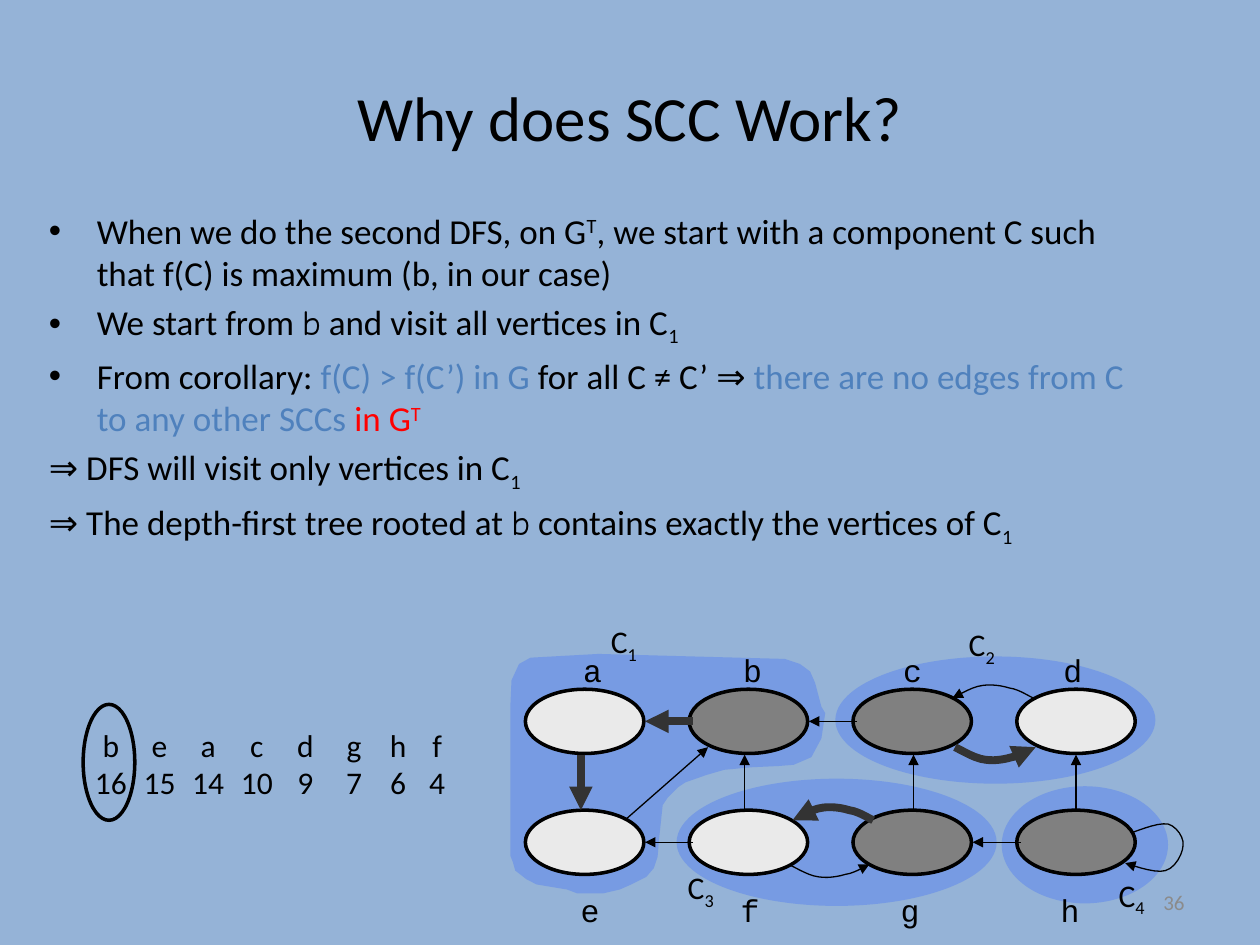
from dataclasses import dataclass

from lxml import etree
from pptx import Presentation
from pptx.dml.color import RGBColor
from pptx.enum.shapes import MSO_CONNECTOR, MSO_SHAPE
from pptx.enum.text import MSO_ANCHOR, PP_ALIGN
from pptx.oxml.ns import qn
from pptx.util import Inches, Pt

ELLIPSE, STRAIGHT = MSO_SHAPE.OVAL, MSO_CONNECTOR.STRAIGHT
LEFT, CENTER, RIGHT = PP_ALIGN.LEFT, PP_ALIGN.CENTER, PP_ALIGN.RIGHT
MIDDLE = MSO_ANCHOR.MIDDLE


@dataclass(frozen=True)
class Theme:
    background: str = "95B3D7"
    ink: str = "000000"
    accent: str = "4F81BD"
    alert: str = "FF0000"
    muted: str = "8B8B8B"
    component: str = "3366FF"
    light: str = "EAEAEA"
    dark: str = "808080"
    tree_edge: str = "333333"
    title: int = 36
    body: int = 20
    label: int = 18
    number: int = 12
    outline: float = 2
    thin: float = 0.75
    thick: float = 4.5
    font: str = "Calibri"
    vertex_font: str = "Comic Neue"
    node_font: str = "Courier New"


THEME = Theme()
SUB, SUPER = {"baseline": -25}, {"baseline": 30}
VERTEX = {"font": THEME.vertex_font}
ACCENT, ALERT = {"color": THEME.accent}, {"color": THEME.alert}

# Each line: whether it has a bullet, then its runs
ARGUMENT = [
    (True, [("When we do the second DFS, on G", {}), ("T", SUPER),
            (", we start with a component C such that f(C) is maximum (b, in our case)", {})]),
    (True, [("We start from ", {}), ("b", VERTEX),
            (" and visit all vertices in C", {}), ("1", SUB)]),
    (True, [("From corollary: ", {}), ("f(C) > f(C’) in G ", ACCENT),
            ("for all C ≠ C’ ⇒ ", {}),
            ("there are no edges from C to any other SCCs ", ACCENT),
            ("in G", ALERT), ("T", ALERT | SUPER)]),
    (False, [("⇒ DFS will visit only vertices in C", {}), ("1", SUB)]),
    (False, [("⇒ The depth-first tree rooted at ", {}), ("b", VERTEX),
             (" contains exactly the vertices of C", {}), ("1", SUB)]),
]

C1_OUTLINE = [
    (4.21, 5.22), (4.75, 5.19), (6.23, 5.23), (6.35, 5.27), (6.43, 5.33),
    (6.47, 5.42), (6.52, 5.61), (6.55, 5.66), (6.52, 5.86), (6.44, 6.01),
    (6.3, 6.07), (6.18, 6.08), (5.96, 6.09), (5.75, 6.11), (5.61, 6.15),
    (5.44, 6.21), (5.38, 6.25), (5.3, 6.33), (5.26, 6.39), (5.23, 6.67),
    (5.22, 6.8), (5.19, 6.89), (5.13, 6.96), (5.01, 7.02), (4.92, 7.06),
    (4.79, 7.09), (4.58, 7.09), (4.5, 7.06), (4.26, 7.02), (4.18, 6.98),
    (4.09, 6.91), (4.07, 6.84), (4.05, 6.79), (4.05, 5.62), (4.06, 5.4),
    (4.12, 5.27),
]
# Cubic curves: a start, then two handles and an end per segment
ARC = [(0, 0), (0.08, 0.04), (0.16, 0.09), (0.24, 0.1), (0.31, 0.11),
       (0.38, 0.1), (0.45, 0.08), (0.52, 0.07), (0.58, 0.03), (0.64, 0)]
SELF_LOOP = [(8.98, 6.61), (9.09, 6.57), (9.2, 6.53), (9.27, 6.54),
             (9.34, 6.56), (9.4, 6.65), (9.39, 6.71), (9.39, 6.77),
             (9.33, 6.89), (9.25, 6.91), (9.18, 6.93), (9.05, 6.89), (8.93, 6.85)]

NODE_W, NODE_H = 0.94, 0.51
NODE_X = [4.17 + 1.3 * column for column in range(4)]
NODE_Y = (5.47, 6.43)


def write_runs(paragraph, runs, size, font=THEME.font, color=THEME.ink):
    for text, changes in runs:
        style = {"font": font, "color": color} | changes
        run = paragraph.add_run()
        run.text = text
        for name, value in {"name": style["font"], "size": Pt(size)}.items():
            setattr(run.font, name, value)
        run.font.color.rgb = RGBColor.from_string(style["color"])
        if "baseline" in style:
            run.font._element.set("baseline", str(style["baseline"] * 1000))


def add_text(slide, box, lines, size, align=LEFT, wrap=True, **style):
    frame = slide.shapes.add_textbox(*map(Inches, box)).text_frame
    frame.word_wrap = wrap
    for index, runs in enumerate(lines):
        paragraph = frame.add_paragraph() if index else frame.paragraphs[0]
        paragraph.alignment = align
        write_runs(paragraph, runs, size, **style)
    return frame


def paint(shape, fill=None, alpha=None, line=None, width=THEME.outline):
    shape.shadow.inherit = False
    if fill:
        shape.fill.solid()
        shape.fill.fore_color.rgb = RGBColor.from_string(fill)
    else:
        shape.fill.background()
    if alpha:
        color = shape.fill._xPr.find(".//" + qn("a:srgbClr"))
        etree.SubElement(color, qn("a:alpha"), val=str(alpha * 1000))
    if line:
        shape.line.color.rgb = RGBColor.from_string(line)
        shape.line.width = Pt(width)
    else:
        shape.line.fill.background()


def add_ellipse(slide, box, **look):
    paint(slide.shapes.add_shape(ELLIPSE, *map(Inches, box)), **look)


def add_outline(slide, points, closed):
    # The builder rounds to whole units, so it is given EMU
    start, *others = [(Inches(x), Inches(y)) for x, y in points]
    builder = slide.shapes.build_freeform(*start)
    builder.add_line_segments(others, close=closed)
    return builder.convert_to_shape()


def add_tip(shape):
    etree.SubElement(shape.line._get_or_add_ln(), qn("a:tailEnd"), type="triangle")


def edge_look(tree):
    return (THEME.tree_edge, THEME.thick) if tree else (THEME.ink, THEME.thin)


def add_edge(slide, start, end, tree=False):
    edge = slide.shapes.add_connector(STRAIGHT, *map(Inches, (*start, *end)))
    color, width = edge_look(tree)
    edge.line.color.rgb = RGBColor.from_string(color)
    edge.line.width = Pt(width)
    add_tip(edge)
    etree.SubElement(edge._element.spPr, qn("a:effectLst"))


def add_curve(slide, knots, tree=False, steps=6):
    points = [knots[0]]
    for first in range(0, len(knots) - 1, 3):
        segment = knots[first:first + 4]
        for t in (step / steps for step in range(1, steps + 1)):
            weights = ((1 - t) ** 3, 3 * t * (1 - t) ** 2, 3 * t * t * (1 - t), t ** 3)
            points.append(tuple(sum(w * knot[axis] for w, knot in zip(weights, segment))
                                for axis in (0, 1)))
    curve = add_outline(slide, points, closed=False)
    color, width = edge_look(tree)
    paint(curve, line=color, width=width)
    add_tip(curve)


def add_argument(slide):
    frame = add_text(slide, (0.29, 1.61, 9, 3.9), [runs for _, runs in ARGUMENT], THEME.body)
    for paragraph, (bulleted, _) in zip(frame.paragraphs, ARGUMENT):
        paragraph.space_before = Pt(4)
        properties = paragraph._p.get_or_add_pPr()
        for name, value in {"marL": Inches(0.38), "indent": Inches(-0.38)}.items():
            properties.set(name, str(value))
        if bulleted:
            etree.SubElement(properties, qn("a:buFont"), typeface="Arial")
            etree.SubElement(properties, qn("a:buChar"), char="•")


def add_components(slide):
    tint = {"fill": THEME.component, "alpha": 30}
    paint(add_outline(slide, C1_OUTLINE, closed=True), **tint)
    for box in ((7.95, 6.24, 1.32, 0.93), (6.63, 5.21, 2.54, 1.01), (5.37, 6.18, 2.54, 1.01)):
        add_ellipse(slide, box, **tint)
    corners = ((4.75, 4.89), (7.59, 4.91), (5.36, 6.84), (8.78, 6.9))
    for number, corner in enumerate(corners, 1):
        add_text(slide, (*corner, 0.47, 0.4), [[("C", {}), (str(number), SUB)]],
                 THEME.label, wrap=False)


def add_nodes(slide):
    light, dark = THEME.light, THEME.dark
    rows = (("abcd", (light, dark, dark, light), 4.53, 5.12),
            ("efgh", (light, light, dark, dark), 4.51, 7.02))
    for top, (names, fills, label_x, label_y) in zip(NODE_Y, rows):
        for column, (name, fill) in enumerate(zip(names, fills)):
            add_ellipse(slide, (NODE_X[column], top, NODE_W, NODE_H), fill=fill, line=THEME.ink)
            add_text(slide, (label_x + 1.27 * column, label_y, 0.35, 0.4), [[(name, {})]],
                     THEME.label, wrap=False, font=THEME.node_font)


def add_edges(slide):
    # Leftward edges: target column, row, tree edge
    for column, row, tree in ((0, 0, True), (1, 0, False), (0, 1, False), (2, 1, False)):
        tip, y = NODE_X[column] + NODE_W + 0.01, NODE_Y[row] + NODE_H / 2
        add_edge(slide, (tip + 0.38, y), (tip, y), tree)
    # Vertical edges: only a to e points down
    add_edge(slide, (4.61, 5.99), (4.61, 6.43), tree=True)
    for x in (5.91, 7.25, 8.54):
        add_edge(slide, (x, 6.43), (x, 5.99))
    add_edge(slide, (4.97, 6.5), (5.62, 5.93))
    # Paired arcs: those above run leftward, those below rightward
    for x, y, above, tree in ((6.29, 6.51, True, True), (7.56, 5.54, True, False),
                              (7.58, 5.93, False, True), (6.26, 6.86, False, False)):
        knots = [(x + dx, y - dy if above else y + dy) for dx, dy in ARC]
        add_curve(slide, knots[::-1] if above else knots, tree)
    add_curve(slide, SELF_LOOP)


def add_finish_times(slide):
    times = (("b", 16), ("e", 15), ("a", 14), ("c", 10), ("d", 9), ("g", 7), ("h", 6), ("f", 4))
    centers = [0.88 + 0.386 * index for index in range(6)] + [3.16, 3.47]
    for (vertex, time), center in zip(times, centers):
        add_text(slide, (center - 0.24, 5.71, 0.48, 0.71),
                 [[(vertex, {})], [(str(time), {})]], THEME.label, CENTER)
    add_ellipse(slide, (0.66, 5.59, 0.41, 0.92), line=THEME.ink)


def main():
    deck = Presentation()
    deck.slide_width, deck.slide_height = Inches(10), Inches(7.5)
    slide = deck.slides.add_slide(deck.slide_layouts[5])
    slide.background.fill.solid()
    slide.background.fill.fore_color.rgb = RGBColor.from_string(THEME.background)
    # Title
    title = slide.shapes.title
    for name, value in {"left": 0.5, "top": 0.3, "width": 9, "height": 1.25}.items():
        setattr(title, name, Inches(value))
    title.text_frame.vertical_anchor = MIDDLE
    title.text_frame.paragraphs[0].alignment = CENTER
    write_runs(title.text_frame.paragraphs[0], [("Why does SCC Work?", {})], THEME.title)
    # Argument, graph and finishing times
    for add_part in (add_argument, add_components, add_nodes, add_edges, add_finish_times):
        add_part(slide)
    # Slide number
    number = add_text(slide, (7.17, 6.96, 2.33, 0.4), [[("36", {})]], THEME.number,
                      RIGHT, color=THEME.muted)
    number.vertical_anchor = MIDDLE
    deck.save("out.pptx")


if __name__ == "__main__":
    main()
